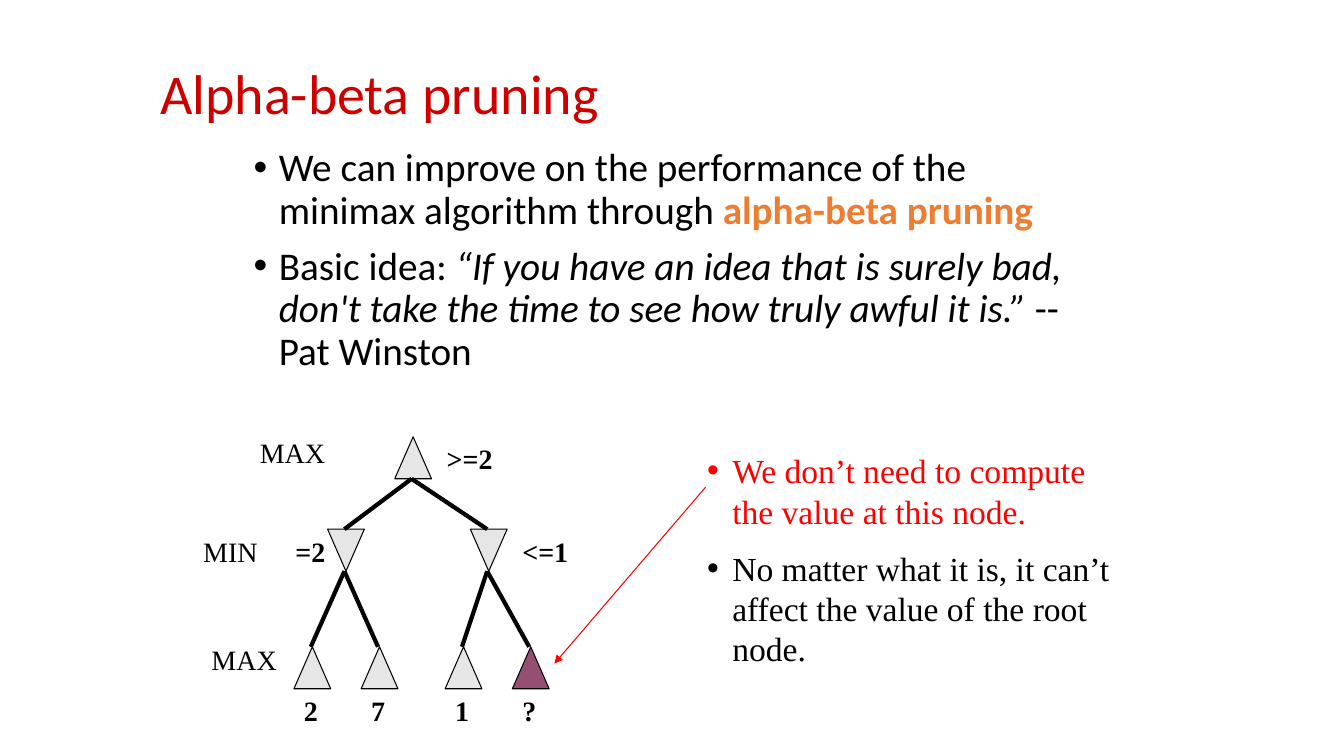
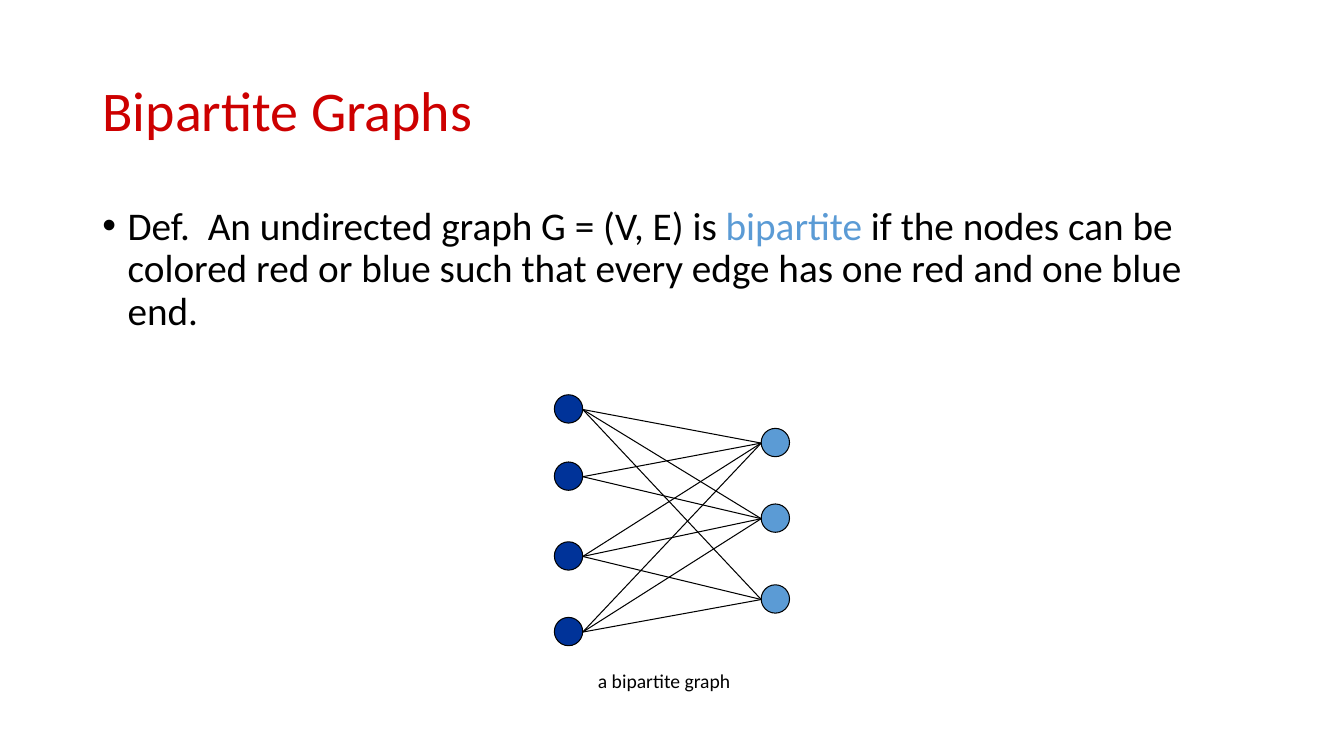
from itertools import product

from lxml.etree import SubElement
from pptx import Presentation
from pptx.dml.color import RGBColor
from pptx.enum.shapes import MSO_CONNECTOR, MSO_SHAPE
from pptx.enum.text import MSO_ANCHOR, MSO_AUTO_SIZE, PP_ALIGN
from pptx.oxml.ns import qn
from pptx.util import Pt

PX = 9525  # EMU per px, 96 px to the inch

BLACK = RGBColor(0x00, 0x00, 0x00)
TITLE_RED = RGBColor(0xCD, 0x00, 0x00)
NOTE_RED = RGBColor(0xFF, 0x00, 0x00)
ORANGE = RGBColor(0xED, 0x7D, 0x31)
LIGHT_BLUE = RGBColor(0x5B, 0x9B, 0xD5)
DARK_BLUE = RGBColor(0x00, 0x33, 0x99)
NODE_GRAY = RGBColor(0xE7, 0xE6, 0xE6)
PRUNED_PURPLE = RGBColor(0x95, 0x4F, 0x72)

SANS = "Calibri"
SERIF = "Times New Roman"


def fill_bullets(text_frame, items, font_name, size, line_spacing, gap):
    """Write one bullet per item; an item is a list of (text, color, style) runs."""
    text_frame.word_wrap = True
    text_frame.auto_size = MSO_AUTO_SIZE.NONE
    for index, item in enumerate(items):
        paragraph = text_frame.add_paragraph() if index else text_frame.paragraphs[0]
        properties = paragraph._p.get_or_add_pPr()
        properties.set("marL", str(24 * PX))
        properties.set("indent", str(-24 * PX))
        SubElement(properties, qn("a:buFont"), typeface="Arial")
        SubElement(properties, qn("a:buChar"), char="•")
        paragraph.line_spacing = line_spacing
        paragraph.space_before = Pt(gap if index else 0)
        for text, color, style in item:
            run = paragraph.add_run()
            run.text = text
            run.font.name = font_name
            run.font.size = Pt(size)
            run.font.color.rgb = color
            run.font.bold = style == "bold"
            run.font.italic = style == "italic"


def add_line(slide, start, end, color=BLACK, width=0.75, arrow=False):
    connector = slide.shapes.add_connector(
        MSO_CONNECTOR.STRAIGHT, *(value * PX for value in (*start, *end)))
    connector.line.color.rgb = color
    connector.line.width = Pt(width)
    properties = connector._element.spPr
    if arrow:
        SubElement(properties.find(qn("a:ln")), qn("a:tailEnd"), type="triangle")
    SubElement(properties, qn("a:effectLst"))


presentation = Presentation()
presentation.slide_width = 1280 * PX
presentation.slide_height = 720 * PX

# Titles and lists
pages = [
    ("Alpha-beta pruning", (143, 32, 816, 120), (232, 136, 816, 432), [
        [("We can improve on the performance of the minimax algorithm through ", BLACK, ""),
         ("alpha-beta pruning", ORANGE, "bold")],
        [("Basic idea: ", BLACK, ""),
         ("“If you have an idea that is surely bad, don't take the time to see "
          "how truly awful it is.”", BLACK, "italic"),
         (" -- Pat Winston", BLACK, "")],
    ]),
    ("Bipartite Graphs", (88, 38, 1104, 139), (88, 192, 1104, 457), [
        [("Def.  An undirected graph G = (V, E) is ", BLACK, ""),
         ("bipartite", LIGHT_BLUE, ""),
         (" if the nodes can be colored red or blue such that every edge has "
          "one red and one blue end.", BLACK, "")],
    ]),
]
for title_text, title_box, body_box, items in pages:
    slide = presentation.slides.add_slide(presentation.slide_layouts[1])
    title, body = slide.shapes.title, slide.placeholders[1]
    for placeholder, box in ((title, title_box), (body, body_box)):
        placeholder.left, placeholder.top, placeholder.width, placeholder.height = (
            value * PX for value in box)
    title.text_frame.text = title_text
    title.text_frame.vertical_anchor = MSO_ANCHOR.MIDDLE
    title.text_frame.auto_size = MSO_AUTO_SIZE.NONE
    paragraph = title.text_frame.paragraphs[0]
    paragraph.alignment = PP_ALIGN.LEFT
    paragraph.line_spacing = 0.9
    title_font = paragraph.runs[0].font
    title_font.name = SANS
    title_font.size = Pt(40)
    title_font.color.rgb = TITLE_RED
    fill_bullets(body.text_frame, items, SANS, 28, 0.9, 10)

tree_slide, graph_slide = presentation.slides

# Nodes: slide, preset, left, top, width, height, fill, rotation
TRIANGLE_WIDTH, TRIANGLE_HEIGHT, APEX = 35, 40, 16
ROOT_TOP, MIN_TOP, LEAF_TOP = 416, 504, 616
ROOT_LEFT = 376
subtrees = {312: (280, 344), 448: (424, 488)}
triangles = [(ROOT_LEFT, ROOT_TOP, NODE_GRAY, 0)]
for min_left, leaf_lefts in subtrees.items():
    triangles.append((min_left, MIN_TOP, NODE_GRAY, 180))
    for leaf_left in leaf_lefts:
        fill = PRUNED_PURPLE if leaf_left == 488 else NODE_GRAY
        triangles.append((leaf_left, LEAF_TOP, fill, 0))
nodes = [(tree_slide, MSO_SHAPE.ISOSCELES_TRIANGLE, left, top,
          TRIANGLE_WIDTH, TRIANGLE_HEIGHT, fill, rotation)
         for left, top, fill, rotation in triangles]

DIAMETER = 27
LEFT_X, RIGHT_X = 528, 725
left_tops = (376, 440, 516, 588)
right_tops = (408, 480, 557)
for x, tops, fill in ((LEFT_X, left_tops, DARK_BLUE), (RIGHT_X, right_tops, LIGHT_BLUE)):
    for top in tops:
        nodes.append((graph_slide, MSO_SHAPE.OVAL, x, top, DIAMETER, DIAMETER, fill, 0))

for slide, preset, left, top, width, height, fill, rotation in nodes:
    shape = slide.shapes.add_shape(preset, left * PX, top * PX, width * PX, height * PX)
    shape.shadow.inherit = False
    shape.rotation = rotation
    shape.fill.solid()
    shape.fill.fore_color.rgb = fill
    shape.line.color.rgb = BLACK
    shape.line.width = Pt(0.75)

# Edges
for min_left, leaf_lefts in subtrees.items():
    add_line(tree_slide, (min_left + APEX, MIN_TOP),
             (ROOT_LEFT + APEX, ROOT_TOP + TRIANGLE_HEIGHT), width=3)
    for leaf_left in leaf_lefts:
        add_line(tree_slide, (leaf_left + APEX, LEAF_TOP),
                 (min_left + APEX, MIN_TOP + TRIANGLE_HEIGHT), width=3)

RADIUS = 14
missing_edge = (left_tops[1], right_tops[2])
for edge in product(left_tops, right_tops):
    if edge != missing_edge:
        add_line(graph_slide, (LEFT_X + DIAMETER, edge[0] + RADIUS),
                 (RIGHT_X, edge[1] + RADIUS))

# Remark on the pruned node
remark = tree_slide.shapes.add_textbox(664 * PX, 424 * PX, 424 * PX, 223 * PX)
fill_bullets(remark.text_frame, [
    [("We don’t need to compute the value at this node.", NOTE_RED, "")],
    [("No matter what it is, it can’t affect the value of the root node.", BLACK, "")],
], SERIF, 24, 1.0, 12)
add_line(tree_slide, (672, 464), (528, 632), NOTE_RED, arrow=True)

# Labels: slide, text, left, top, width, height, font, size, bold
LABEL_HEIGHT = 41
VALUE_TOP = LEAF_TOP + TRIANGLE_HEIGHT
tree_labels = [
    ("2", 280, VALUE_TOP, 33, True),
    ("7", 344, VALUE_TOP, 33, True),
    ("1", 424, VALUE_TOP, 33, True),
    ("?", 488, VALUE_TOP, 33, True),
    ("=2", 272, MIN_TOP, 48, True),
    (">=2", 416, ROOT_TOP, 63, True),
    ("<=1", 488, MIN_TOP, 63, True),
    ("MAX", 238, 410, 82, False),
    ("MIN", 184, MIN_TOP, 71, False),
    ("MAX", 192, 607, 82, False),
]
labels = [(tree_slide, text, left, top, width, LABEL_HEIGHT, SERIF, 20, bold)
          for text, left, top, width, bold in tree_labels]
labels.append((graph_slide, "a bipartite graph", 560, 632, 147, 33, SANS, 14, False))
for slide, text, left, top, width, height, font_name, size, bold in labels:
    label = slide.shapes.add_textbox(left * PX, top * PX, width * PX, height * PX)
    label.text_frame.word_wrap = False
    label.text_frame.text = text
    label_font = label.text_frame.paragraphs[0].runs[0].font
    label_font.name = font_name
    label_font.size = Pt(size)
    label_font.bold = bold
    label_font.color.rgb = BLACK

presentation.save("out.pptx")
